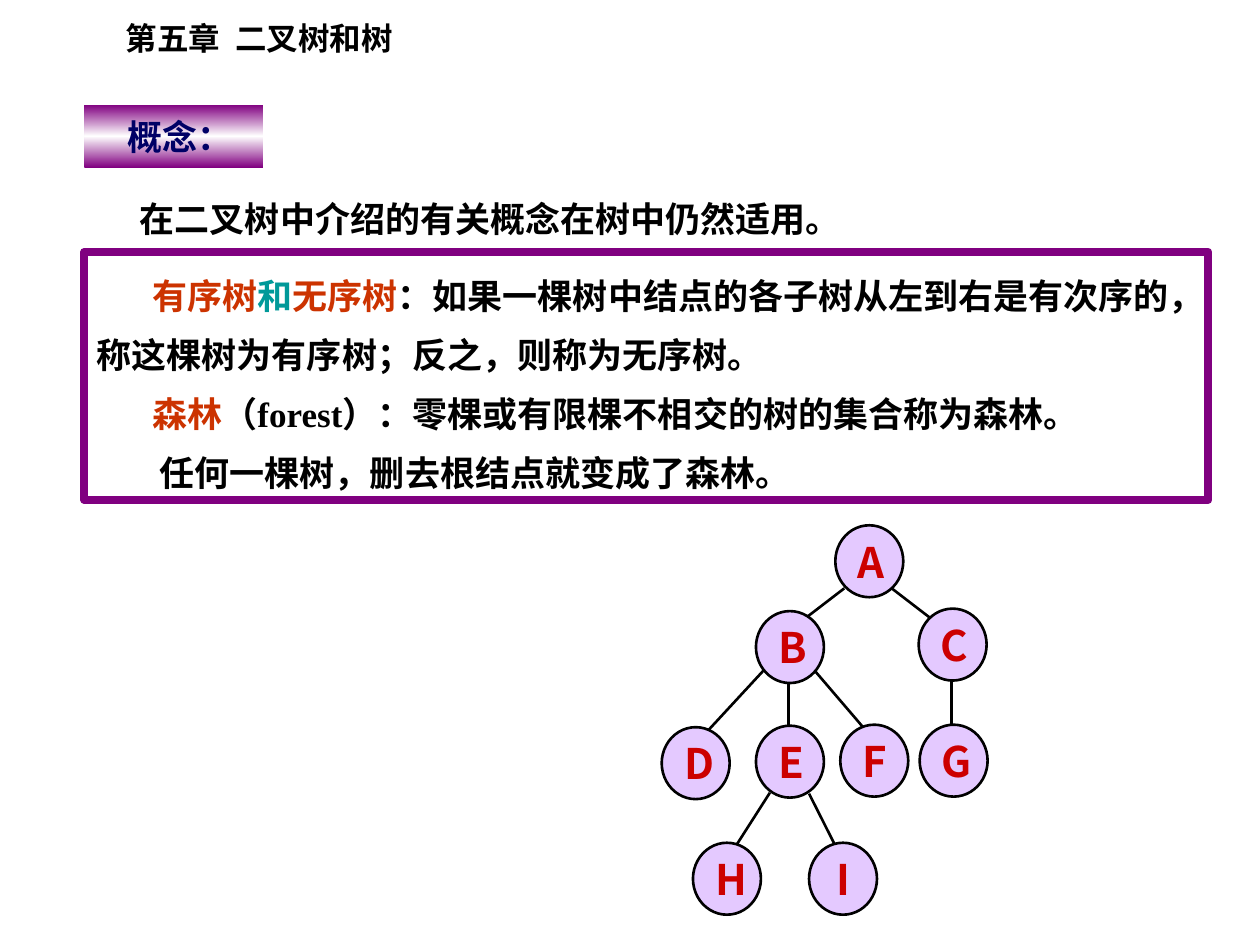
from copy import deepcopy
from dataclasses import dataclass

from lxml import etree
from pptx import Presentation
from pptx import util as u
from pptx.dml.color import RGBColor
from pptx.enum import shapes, text
from pptx.oxml.ns import qn


@dataclass(frozen=True)
class Theme:
    black: str = "000000"
    white: str = "FFFFFF"
    purple: str = "800080"
    navy: str = "000066"
    term: str = "CC3300"
    teal: str = "009999"
    node_fill: str = "E4C9FF"
    node_text: str = "CC0000"
    latin: str = "Times New Roman"
    cjk: str = "Noto Sans CJK SC"
    chapter_size: int = 18
    body_size: int = 20
    node_size: int = 24


def rgb(value):
    return RGBColor.from_string(value)


class Builder:
    def __init__(self, slide, theme):
        self.s = slide
        self.t = theme

    def paragraph(self, p, runs, size, font=None, align=text.PP_ALIGN.LEFT,
                  indent=0, spacing=None):
        """Fill a paragraph with (text, colour) runs."""
        p.alignment = align
        if spacing:
            p.line_spacing = spacing
        if indent:
            p._p.get_or_add_pPr().set("indent", str(u.Cm(indent)))
        for words, color in runs:
            r = p.add_run()
            r.text = words
            r.font.size = u.Pt(size)
            r.font.bold = True
            r.font.name = font or self.t.latin
            r.font.color.rgb = rgb(color)
            ea = etree.SubElement(r._r.get_or_add_rPr(), qn("a:ea"))
            ea.set("typeface", self.t.cjk)

    def textbox(self, box, runs, size, wrap=True, spacing=None):
        sp = self.s.shapes.add_textbox(*map(u.Cm, box))
        tf = sp.text_frame
        tf.word_wrap = wrap
        tf.auto_size = text.MSO_AUTO_SIZE.SHAPE_TO_FIT_TEXT
        self.paragraph(tf.paragraphs[0], runs, size, spacing=spacing)
        return tf

    def shape(self, kind, box, line=None, width=0, anchor=text.MSO_ANCHOR.MIDDLE):
        sp = self.s.shapes.add_shape(kind, *map(u.Cm, box))
        sp.shadow.inherit = False
        sp.fill.background()
        if line:
            sp.line.color.rgb = rgb(line)
            sp.line.width = u.Pt(width)
        else:
            sp.line.fill.background()
        sp.text_frame.word_wrap = True
        sp.text_frame.vertical_anchor = anchor
        return sp

    def badge(self, box, words):
        sp = self.shape(shapes.MSO_SHAPE.RECTANGLE, box)
        sp.fill.gradient()
        sp.fill.gradient_angle = 90
        for stop in sp.fill.gradient_stops:
            stop.color.rgb = rgb(self.t.purple)
        # Middle stop of the three-stop gradient
        first = sp._element.spPr.find(".//" + qn("a:gs"))
        first.addnext(deepcopy(first))
        for stop, position in zip(sp.fill.gradient_stops, (0, 0.5, 1)):
            stop.position = position
        sp.fill.gradient_stops[1].color.rgb = rgb(self.t.white)
        self.paragraph(sp.text_frame.paragraphs[0], [(words, self.t.navy)],
                       self.t.body_size, indent=0.62)

    def frame(self, box, paragraphs):
        sp = self.shape(shapes.MSO_SHAPE.RECTANGLE, box, self.t.purple, 4.5,
                        text.MSO_ANCHOR.TOP)
        tf = sp.text_frame
        tf.auto_size = text.MSO_AUTO_SIZE.SHAPE_TO_FIT_TEXT
        for i, (indent, runs) in enumerate(paragraphs):
            p = tf.add_paragraph() if i else tf.paragraphs[0]
            self.paragraph(p, runs, self.t.body_size, indent=indent, spacing=1.4)

    def edge(self, x1, y1, x2, y2):
        line = self.s.shapes.add_connector(
            shapes.MSO_CONNECTOR.STRAIGHT, *map(u.Cm, (x1, y1, x2, y2)))
        line.line.color.rgb = rgb(self.t.black)
        line.line.width = u.Pt(1.5)
        etree.SubElement(line._element.spPr, qn("a:effectLst"))

    def node(self, label, left, top):
        sp = self.shape(shapes.MSO_SHAPE.OVAL, (left, top, 1.37, 1.45),
                        self.t.black, 1.5)
        sp.fill.solid()
        sp.fill.fore_color.rgb = rgb(self.t.node_fill)
        self.paragraph(sp.text_frame.paragraphs[0], [(label, self.t.node_text)],
                       self.t.node_size, self.t.cjk, text.PP_ALIGN.CENTER)


def main():
    prs = Presentation()
    prs.slide_width, prs.slide_height = u.Cm(25.4), u.Cm(19.05)
    t = Theme()
    b = Builder(prs.slides.add_slide(prs.slide_layouts[6]), t)

    # Chapter title, with a widened gap after the number
    tf = b.textbox((2.29, 0.25, 6.17, 1.02),
                   [("第五章", t.black), (" ", t.black), ("二叉树和树", t.black)],
                   t.chapter_size)
    tf.paragraphs[0].runs[1]._r.get_or_add_rPr().set("spc", "450")

    # Heading and definitions
    b.badge((1.7, 2.11, 3.61, 1.27), "概念：")
    b.frame((1.7, 5.08, 22.66, 5), [
        (1.12, [("有序树", t.term), ("和", t.teal), ("无序树", t.term),
                ("：如果一棵树中结点的各子树从左到右是有次序的，"
                 "称这棵树为有序树；反之，则称为无序树。", t.black)]),
        (1.12, [("森林", t.term),
                ("（forest）：零棵或有限棵不相交的树的集合称为森林。", t.black)]),
        (1.27, [("任何一棵树，删去根结点就变成了森林。", t.black)]),
    ])
    b.textbox((2.57, 3.61, 14.63, 1.37),
              [("在二叉树中介绍的有关概念在树中仍然适用。", t.black)],
              t.body_size, wrap=False, spacing=1.3)

    # Tree edges, from parent to child
    for ends in [
        (17.02, 11.86, 16.03, 12.62),  # A-B
        (17.91, 11.81, 18.9, 12.57),   # A-C
        (15.49, 13.41, 14.27, 14.73),  # B-D
        (15.9, 13.41, 15.9, 14.68),    # B-E
        (16.33, 13.41, 17.4, 14.66),   # B-F
        (19.18, 13.41, 19.18, 14.68),  # C-G
        (15.52, 15.98, 14.81, 17.09),  # E-H
        (16.31, 16, 16.89, 17.15),     # E-I
    ]:
        b.edge(*ends)

    # Tree nodes
    for label, left, top in [
        ("A", 16.84, 10.59),
        ("B", 15.24, 12.32), ("C", 18.52, 12.27),
        ("D", 13.34, 14.66), ("E", 15.24, 14.63),
        ("F", 16.94, 14.61), ("G", 18.54, 14.61),
        ("H", 13.97, 16.99), ("I", 16.31, 16.99),
    ]:
        b.node(label, left, top)

    prs.save("out.pptx")


if __name__ == "__main__":
    main()
